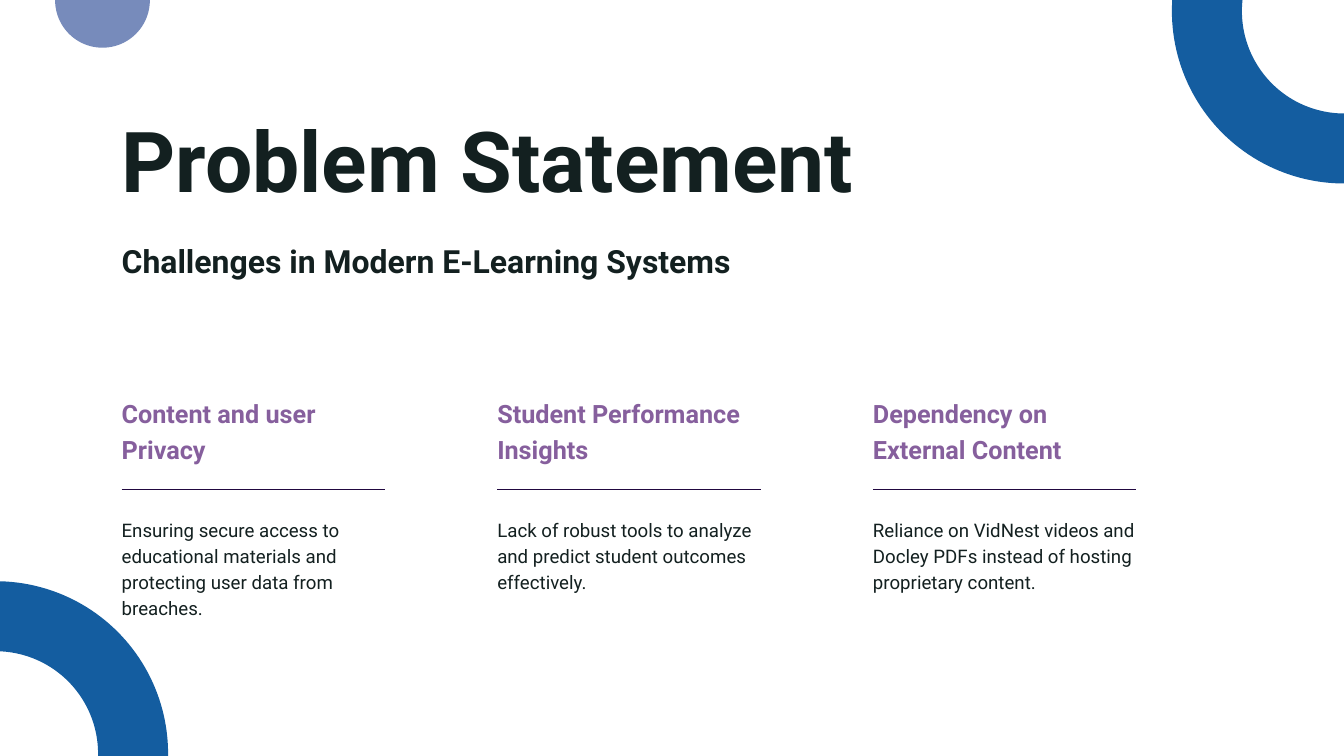
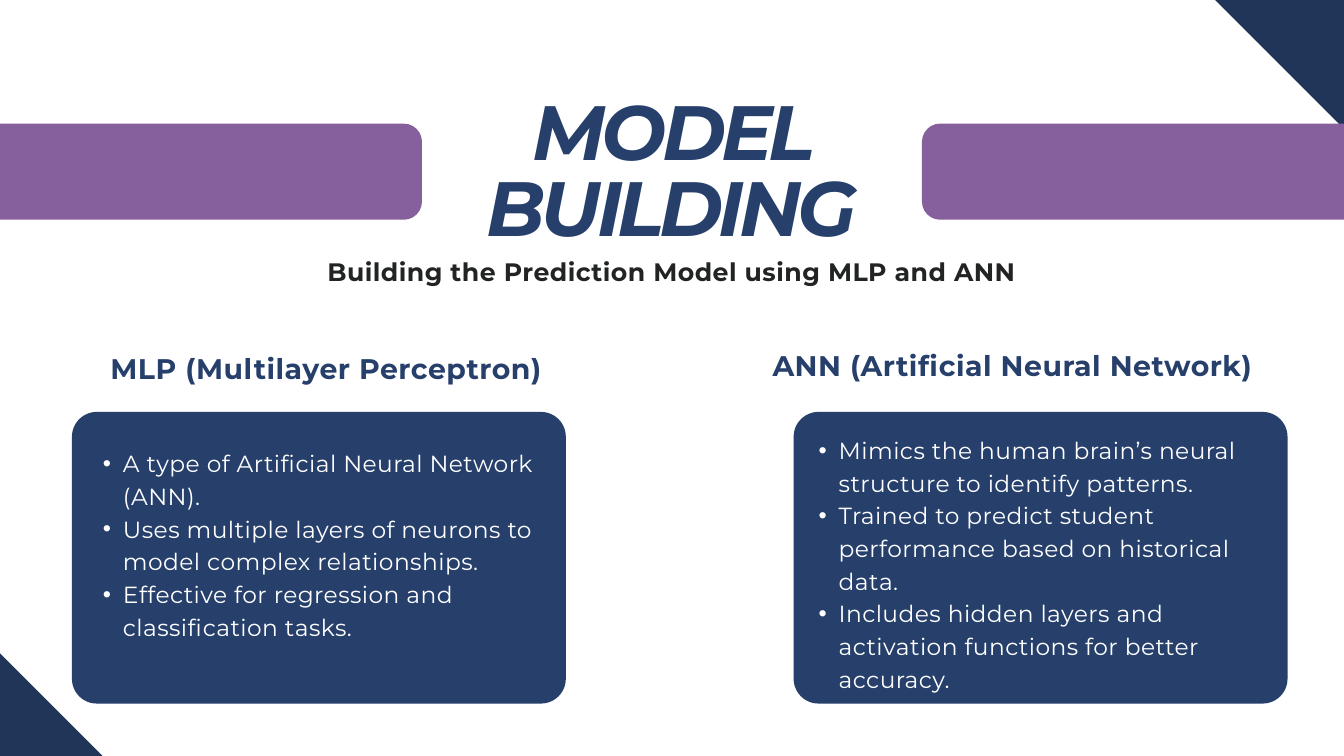
"""Build two slides on an e-learning project: its problems and its models."""
from typing import NamedTuple

from lxml import etree
from pptx import Presentation
from pptx.dml.color import RGBColor
from pptx.enum.shapes import MSO_CONNECTOR, MSO_SHAPE
from pptx.enum.text import MSO_AUTO_SIZE, PP_ALIGN
from pptx.oxml.ns import qn
from pptx.util import Inches, Pt

LEFT, CENTER = PP_ALIGN.LEFT, PP_ALIGN.CENTER
GROW = MSO_AUTO_SIZE.SHAPE_TO_FIT_TEXT
STRAIGHT = MSO_CONNECTOR.STRAIGHT
OVAL, RECT, ROUND = MSO_SHAPE.OVAL, MSO_SHAPE.RECTANGLE, MSO_SHAPE.ROUNDED_RECTANGLE

WIDE, HIGH = Inches(20), Inches(11.25)
COLS, ROWS = 20, 11.25

COLORS = {
    "ink": "132020",
    "text": "212423",
    "purple": "865F9D",
    "rule": "210840",
    "ring": "145DA0",
    "dot": "778BBB",
    "navy": "263F6B",
    "night": "213559",
    "white": "FFFFFF",
}

INK = dict(face="Roboto", color="ink")
MONT = dict(face="Montserrat", space=0.5)
STYLES = {
    "title": dict(INK, size=90, lead=99, bold=True),
    "lede": dict(INK, size=34.2, lead=41.1, bold=True),
    "topic": dict(INK, size=27, lead=37.8, bold=True, color="purple"),
    "body": dict(INK, size=20, lead=28),
    "banner": dict(face="Montserrat", space=-4.8, size=82.4, lead=80.7,
                   bold=True, slant=True, align=CENTER, color="navy"),
    "motto": dict(MONT, size=27, lead=37.8, bold=True, align=CENTER, color="text"),
    "model": dict(face="Montserrat", space=0.6, size=30.4, lead=57.8,
                  bold=True, align=CENTER, color="navy"),
    "point": dict(MONT, size=25, lead=35, color="white", bullet=True),
}


class Box(NamedTuple):
    """A place on the grid, in columns and rows."""
    col: float
    row: float
    wide: float
    high: float


class Topic(NamedTuple):
    """A problem with its heading and details."""
    head: str
    body: str
    lines: int


class Model(NamedTuple):
    """A model with its heading, card and points."""
    name: str
    label: Box
    card: float
    list: Box
    points: tuple[str, ...]


TOPICS = (
    Topic("Content and user\nPrivacy",
          "Ensuring secure access to educational materials and "
          "protecting user data from breaches.", 4),
    Topic("Student Performance Insights",
          "Lack of robust tools to analyze and predict student "
          "outcomes effectively.", 3),
    Topic("Dependency on External Content",
          "Reliance on VidNest videos and Docley PDFs instead of "
          "hosting proprietary content.", 3),
)

MODELS = (
    Model("MLP (Multilayer Perceptron)", Box(1.57, 4.93, 6.57, 0.67),
          1.07, Box(1.24, 6.62, 7.18, 3.32),
          ("A type of Artificial Neural Network (ANN).",
           "Uses multiple layers of neurons to model complex relationships.",
           "Effective for regression and classification tasks.")),
    Model("ANN (Artificial Neural Network)", Box(11.35, 4.88, 7.44, 0.73),
          11.81, Box(11.89, 6.42, 7.18, 4.28),
          ("Mimics the human brain’s neural structure to identify patterns.",
           "Trained to predict student performance based on historical data.",
           "Includes hidden layers and activation functions for better accuracy.")),
)


def hue(name: str) -> RGBColor:
    """Look up a colour by name."""
    return RGBColor.from_string(COLORS[name])


def place(box: Box) -> tuple[int, int, int, int]:
    """Turn grid units into slide lengths."""
    x, y = WIDE / COLS, HIGH / ROWS
    return (round(box.col * x), round(box.row * y),
            round(box.wide * x), round(box.high * y))


def dot(para) -> None:
    """Give a paragraph a hanging bullet."""
    para.level = 1
    props = para._p.get_or_add_pPr()
    props.set("marL", str(Inches(0.59)))
    props.set("indent", str(Inches(-0.3)))
    etree.SubElement(props, qn("a:buFont"), typeface="Arial")
    etree.SubElement(props, qn("a:buChar"), char="•")


def write(slide, text: str, box: Box, *, face: str, size: float, lead: float,
          color: str, bold: bool = False, slant: bool = False, space: float = 0,
          align=LEFT, bullet: bool = False) -> None:
    """Write text in a box, one paragraph for each line."""
    frame = slide.shapes.add_textbox(*place(box)).text_frame
    frame.word_wrap, frame.auto_size = True, GROW
    frame.margin_left = frame.margin_right = 0
    frame.margin_top = frame.margin_bottom = 0
    for i, line in enumerate(text.split("\n")):
        para = frame.add_paragraph() if i else frame.paragraphs[0]
        if bullet:
            dot(para)
        para.alignment, para.line_spacing = align, Pt(lead)
        run = para.add_run()
        run.text = line
        font = run.font
        font.name, font.size = face, Pt(size)
        font.bold, font.italic = bold, slant
        font.color.rgb = hue(color)
        if space:
            run._r.get_or_add_rPr().set("spc", str(round(space * 100)))


def draw(slide, kind, box: Box, fill: str = "", line: str = "",
         width: float = 0, turn: float = 0, curve: float = 0) -> None:
    """Draw a preset shape; curve is the corner radius in grid units."""
    shape = slide.shapes.add_shape(kind, *place(box))
    shape.shadow.inherit = False
    shape.rotation = turn
    if curve:
        shape.adjustments[0] = curve / min(box.wide, box.high)
    if fill:
        shape.fill.solid()
        shape.fill.fore_color.rgb = hue(fill)
    else:
        shape.fill.background()
    if line:
        shape.line.color.rgb, shape.line.width = hue(line), Pt(width)
    else:
        shape.line.fill.background()


def rule(slide, col: float, row: float, wide: float) -> None:
    """Draw a thin level line."""
    x, y, w, _ = place(Box(col, row, wide, 0))
    line = slide.shapes.add_connector(STRAIGHT, x, y, x + w, y)
    line.line.color.rgb, line.line.width = hue("rule"), Pt(1)
    etree.SubElement(line._element.spPr, qn("a:effectLst"))


def issues(slide) -> None:
    """Fill the problem slide."""
    edge, step, wide = 1.81, 5.59, 3.92
    write(slide, "Problem Statement", Box(edge, 1.74, 16.38, 1.44), **STYLES["title"])
    write(slide, "Challenges in Modern E-Learning Systems",
          Box(edge, 3.6, 16.38, 0.57), **STYLES["lede"])
    for i, topic in enumerate(TOPICS):
        col = edge + i * step
        write(slide, topic.head, Box(col, 5.86, wide, 1.01), **STYLES["topic"])
        write(slide, topic.body, Box(col, 7.66, wide, topic.lines * 0.38),
              **STYLES["body"])
        rule(slide, col, 7.29, wide)
    for col, row in ((17.96, -1.88), (-2.11, 9.17)):
        draw(slide, OVAL, Box(col, row, 4.09, 4.09), line="ring", width=75)
    draw(slide, OVAL, Box(0.82, -0.7, 1.41, 1.41), fill="dot")


def models(slide) -> None:
    """Fill the model slide."""
    for col, row in ((17.11, -1.36), (-2.95, 10.23)):
        draw(slide, RECT, Box(col, row, 5.79, 2.72), fill="night", turn=45)
    bar = 9.03
    for col in (6.28 - bar, COLS - 6.28):
        draw(slide, ROUND, Box(col, 1.84, bar, 1.43), fill="purple", curve=0.27)
    write(slide, "MODEL BUILDING", Box(6.75, 1.5, 6.49, 2.29), **STYLES["banner"])
    write(slide, "Building the Prediction Model using MLP and ANN",
          Box(3.71, 3.74, 12.57, 0.5), **STYLES["motto"])
    for model in MODELS:
        draw(slide, ROUND, Box(model.card, 6.13, 7.35, 4.34), fill="navy", curve=0.37)
        write(slide, "\n".join(model.points), model.list, **STYLES["point"])
        write(slide, model.name, model.label, **STYLES["model"])


def main() -> None:
    """Build and save the deck."""
    deck = Presentation()
    deck.slide_width, deck.slide_height = WIDE, HIGH
    for fill in (issues, models):
        fill(deck.slides.add_slide(deck.slide_layouts[6]))
    deck.save("out.pptx")


if __name__ == "__main__":
    main()
